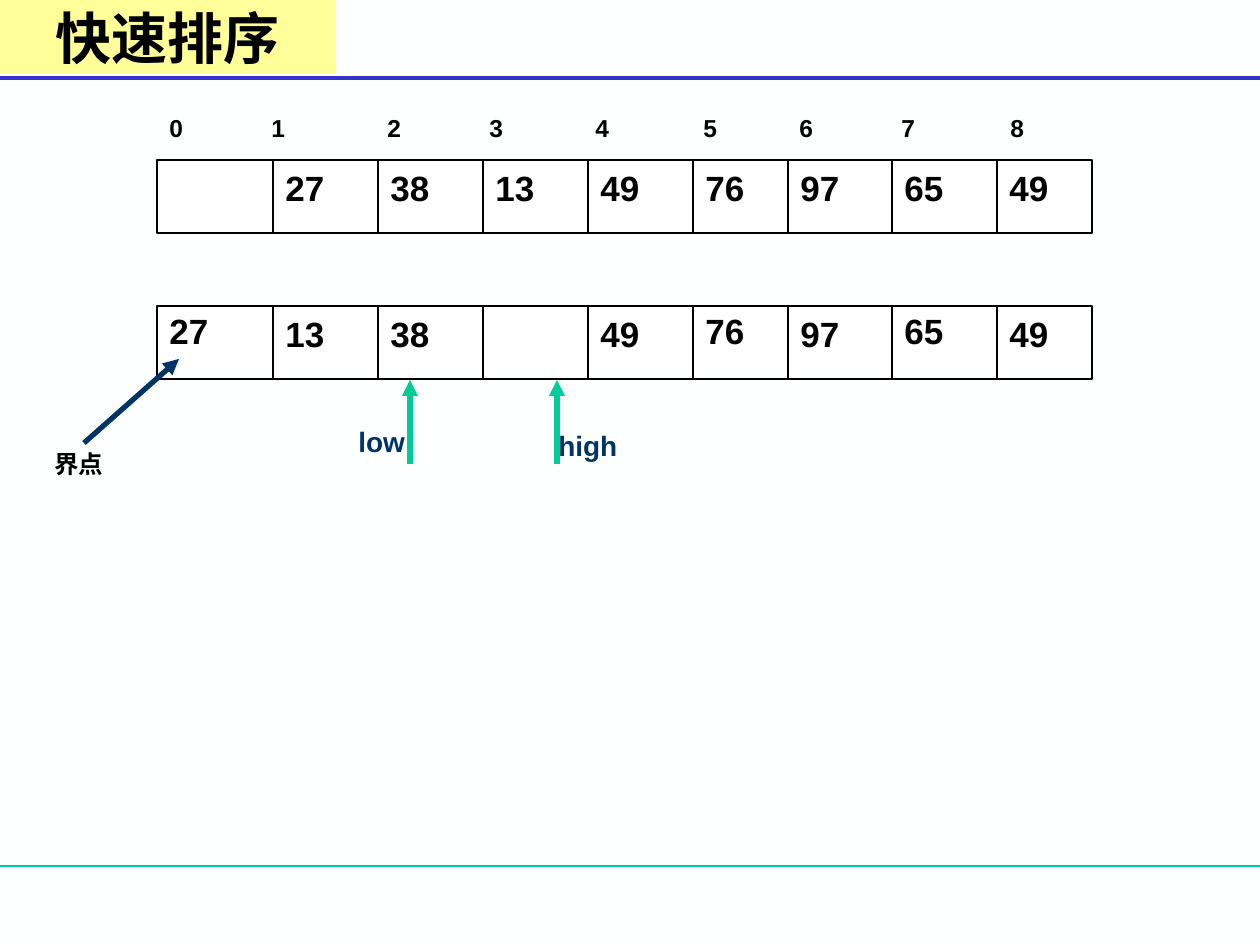
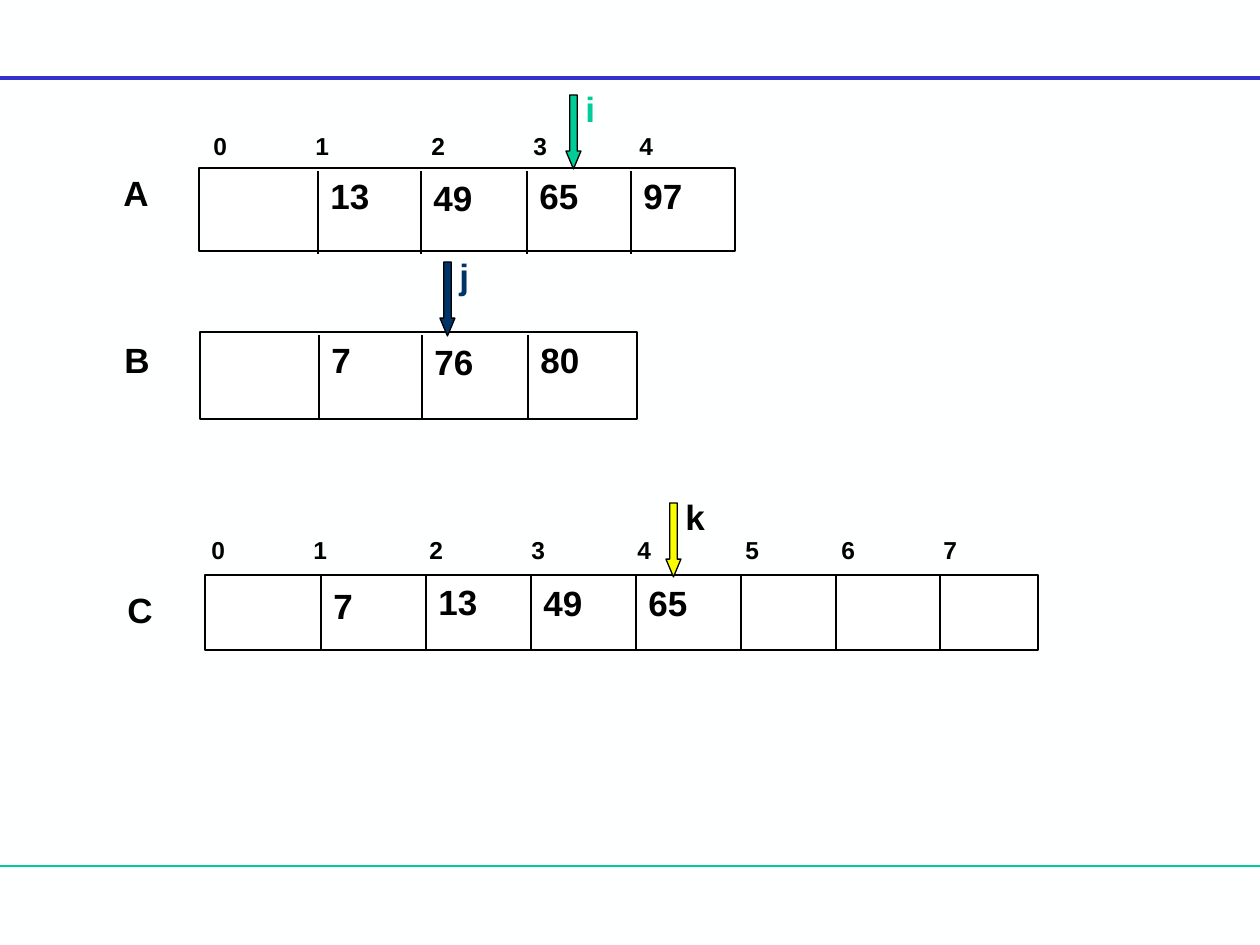
from itertools import accumulate

from lxml import etree
from pptx import Presentation
from pptx.dml.color import RGBColor
from pptx.enum.shapes import MSO_CONNECTOR, MSO_SHAPE
from pptx.enum.text import MSO_ANCHOR, MSO_AUTO_SIZE, PP_ALIGN
from pptx.oxml.ns import qn
from pptx.util import Emu, Pt

STRAIGHT = MSO_CONNECTOR.STRAIGHT
RECTANGLE = MSO_SHAPE.RECTANGLE
DOWN_ARROW = MSO_SHAPE.DOWN_ARROW
MIDDLE = MSO_ANCHOR.MIDDLE
CENTER = PP_ALIGN.CENTER
GROW = MSO_AUTO_SIZE.SHAPE_TO_FIT_TEXT

EMU_PER_PX = 914400 / 126
WIDTH, HEIGHT = 1260, 945

PAPER, WHITE, BLACK = "FEFFFF", "FFFFFF", "000000"
BLUE, NAVY, GREEN = "3333CC", "003366", "00CC99"
YELLOW, TITLE_FILL = "FAFD00", "FFFF99"

WIDE_DIVIDERS = list(accumulate([116, 105, 105, 105, 105, 95, 104, 105]))
SHORT_DIVIDERS = [119, 222, 328, 432]
INDEX_TABS = [102, 218, 320, 426, 534, 630, 732, 841]


def px(length):
    return Emu(round(length * EMU_PER_PX))


def color(value):
    return RGBColor.from_string(value)


class Deck:
    def __init__(self):
        self.presentation = Presentation()
        self.presentation.slide_width = px(WIDTH)
        self.presentation.slide_height = px(HEIGHT)
        self.slide = None

    def new_slide(self):
        layout = self.presentation.slide_layouts[6]
        self.slide = self.presentation.slides.add_slide(layout)
        background = self.slide.background.fill
        background.solid()
        background.fore_color.rgb = color(PAPER)
        self.line(0, 866, WIDTH, 866, GREEN)
        self.line(0, 78, WIDTH, 78, BLUE, 2.25)

    def line(self, x1, y1, x2, y2, stroke=BLACK, weight=0.75, arrow=False):
        connector = self.slide.shapes.add_connector(
            STRAIGHT, px(x1), px(y1), px(x2), px(y2))
        connector.line.color.rgb = color(stroke)
        connector.line.width = Pt(weight)
        if arrow:
            outline = connector.line._get_or_add_ln()
            etree.SubElement(outline, qn("a:tailEnd"), type="triangle")
        etree.SubElement(connector._element.spPr, qn("a:effectLst"))

    def shape(self, kind, left, top, width, height, fill, stroke=BLACK):
        shape = self.slide.shapes.add_shape(
            kind, px(left), px(top), px(width), px(height))
        shape.shadow.inherit = False
        shape.fill.solid()
        shape.fill.fore_color.rgb = color(fill)
        if stroke:
            shape.line.color.rgb = color(stroke)
            shape.line.width = Pt(0.75)
        else:
            shape.line.fill.background()
        return shape

    def run(self, paragraph, text, size, ink=BLACK, font="Arial"):
        run = paragraph.add_run()
        run.text = text
        run.font.name = font
        run.font.size = Pt(size)
        run.font.bold = True
        run.font.color.rgb = color(ink)

    def text(self, text, left, top, width=84, height=55, size=20, ink=BLACK, tabs=()):
        box = self.slide.shapes.add_textbox(px(left), px(top), px(width), px(height))
        frame = box.text_frame
        frame.word_wrap = True
        frame.auto_size = GROW
        paragraph = frame.paragraphs[0]
        if tabs:
            tab_list = etree.SubElement(
                paragraph._p.get_or_add_pPr(), qn("a:tabLst"))
            for tab in tabs:
                etree.SubElement(tab_list, qn("a:tab"), pos=str(px(tab)), algn="l")
        self.run(paragraph, text, size, ink)

    def title(self, text):
        band = self.shape(RECTANGLE, 0, 0, 336, 74, TITLE_FILL, None)
        frame = band.text_frame
        frame.vertical_anchor = MIDDLE
        paragraph = frame.paragraphs[0]
        paragraph.alignment = CENTER
        self.run(paragraph, text, 32, font="Times New Roman")

    def indices(self, count, left, top, width):
        text = "\t".join(str(index) for index in range(count))
        self.text(text, left, top, width, 43, 14, tabs=INDEX_TABS[:count - 1])

    def array(self, left, top, width, height, dividers, values, shifts, start=0, end=0):
        self.shape(RECTANGLE, left, top, width, height, WHITE)
        for offset in dividers:
            x = left + offset
            self.line(x, top + start, x, top + height + end)
        for offset, value, shift in zip([0, *dividers], values, shifts):
            if value:
                self.text(value, left + offset, top + shift)

    def pointer(self, name, left, top, fill, ink):
        arrow = self.shape(DOWN_ARROW, left, top, 15, 74, fill)
        arrow.adjustments[0] = 0.5
        arrow.adjustments[1] = 1.19
        self.text(name, left + 7, top - 14, 67, ink=ink)


def quick_sort_slide(deck):
    deck.new_slide()
    level = [0] * 9
    raised = [-3, 0, 0, 0, 0, -3, 0, -3, 0]
    before = ["", "27", "38", "13", "49", "76", "97", "65", "49"]
    after = ["27", "13", "38", "", "49", "76", "97", "65", "49"]
    for top, values, shifts in ((306, after, raised), (160, before, level)):
        deck.array(157, top, 935, 73, WIDE_DIVIDERS, values, shifts)
    deck.indices(9, 157, 107, 935)
    for name, arrow_x, left, top in (("high", 557, 546, 422), ("low", 410, 346, 418)):
        deck.line(arrow_x, 464, arrow_x, 380, GREEN, 3, arrow=True)
        deck.text(name, left, top, 116, 47, 16, NAVY)
    deck.text("界点", 42, 443, 105, 43, 14)
    deck.line(84, 443, 179, 359, NAVY, 3, arrow=True)
    deck.title("快速排序")


def merge_slide(deck):
    deck.new_slide()
    deck.indices(5, 201, 125, 536)
    deck.array(199, 168, 536, 83, SHORT_DIVIDERS,
               ["", "13", "49", "65", "97"], [0, 0, 2, 0, 0], start=3, end=3)
    deck.array(200, 332, 437, 87, SHORT_DIVIDERS[:3],
               ["", "7", "76", "80"], [0, 0, 2, 0], start=3)
    deck.array(205, 575, 833, 75, WIDE_DIVIDERS[:7],
               ["", "7", "13", "49", "65"], [0, 3, -1, 0, 0], end=1)
    deck.indices(8, 199, 529, 839)
    for name, left, top in (("A", 111, 165), ("B", 112, 332), ("C", 115, 582)):
        deck.text(name, left, top)
    deck.pointer("i", 566, 95, GREEN, GREEN)
    deck.pointer("j", 440, 262, NAVY, NAVY)
    deck.pointer("k", 666, 503, YELLOW, BLACK)


def main():
    deck = Deck()
    quick_sort_slide(deck)
    merge_slide(deck)
    deck.presentation.save("out.pptx")


if __name__ == "__main__":
    main()
